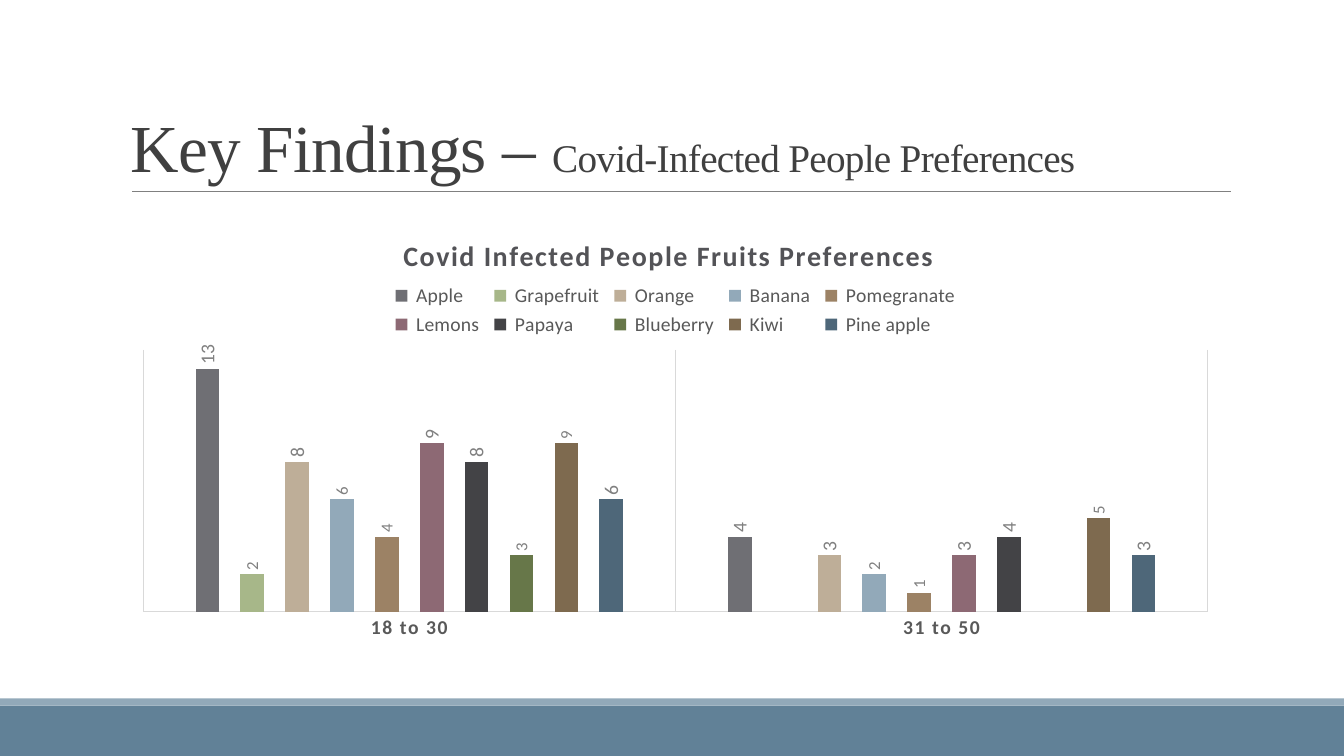
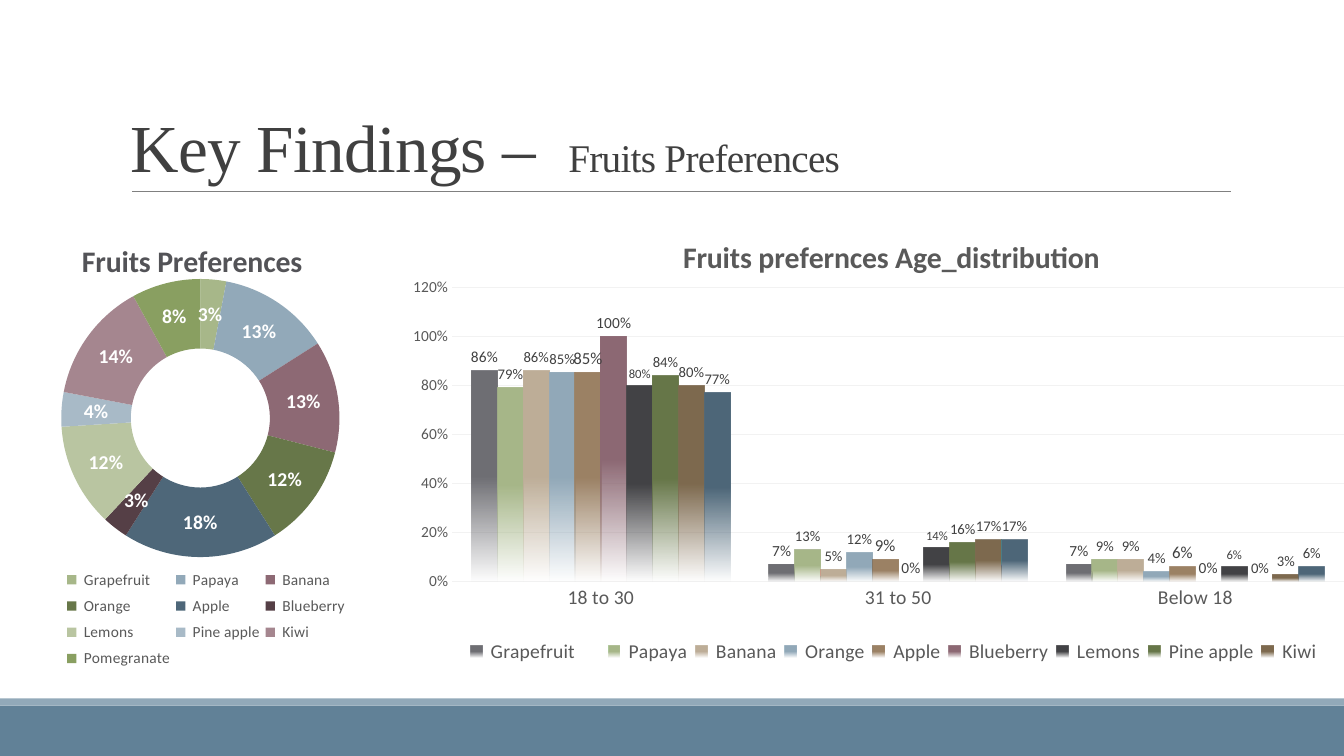
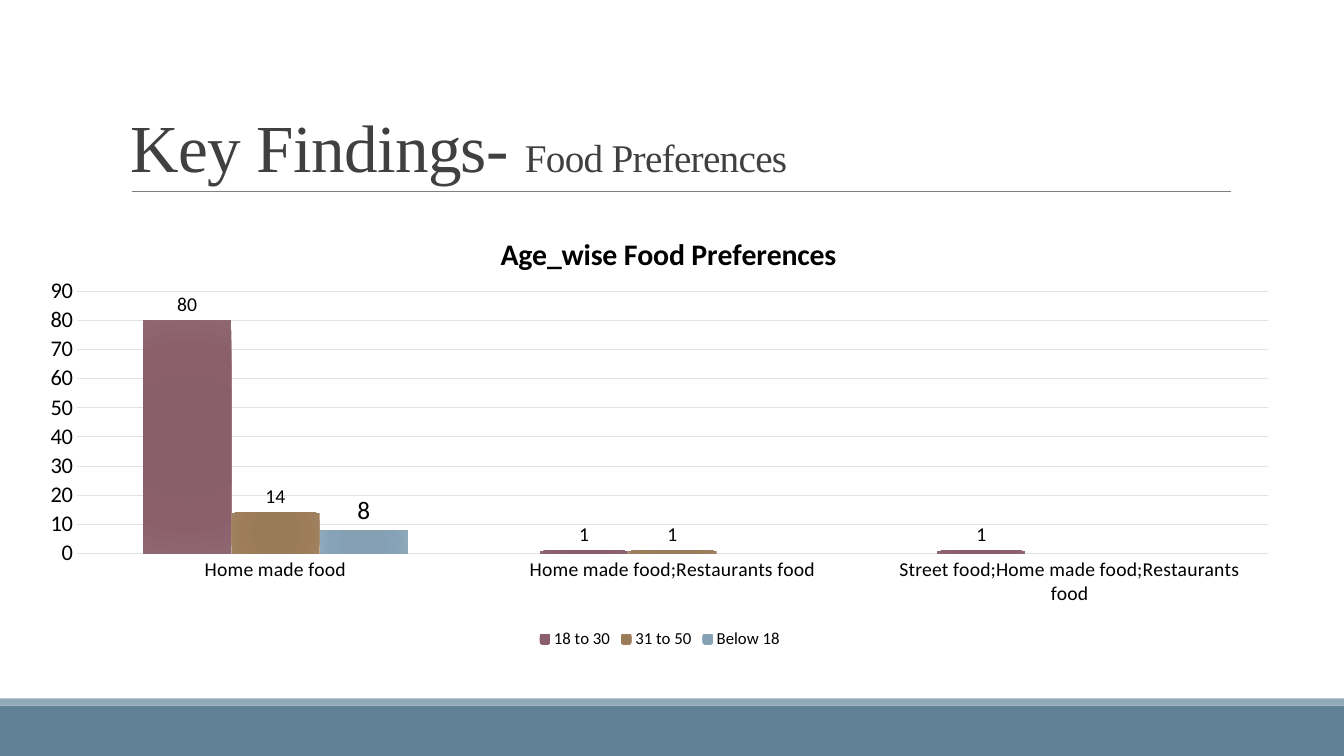
"""Build three survey slides on fruit and food preferences."""
from dataclasses import dataclass
from typing import Optional

from lxml import etree
from pptx import Presentation
from pptx.chart.data import CategoryChartData
from pptx.dml.color import RGBColor
from pptx.enum.chart import XL_CHART_TYPE, XL_LABEL_POSITION, XL_LEGEND_POSITION, XL_TICK_MARK
from pptx.enum.shapes import MSO_CONNECTOR, MSO_SHAPE
from pptx.enum.text import MSO_ANCHOR
from pptx.oxml.ns import qn
from pptx.util import Inches, Pt

COLUMNS, DOUGHNUT = XL_CHART_TYPE.COLUMN_CLUSTERED, XL_CHART_TYPE.DOUGHNUT
OUTSIDE = XL_LABEL_POSITION.OUTSIDE_END
TOP, RIGHT, BOTTOM = XL_LEGEND_POSITION.TOP, XL_LEGEND_POSITION.RIGHT, XL_LEGEND_POSITION.BOTTOM
NO_TICK = XL_TICK_MARK.NONE
BOTTOM_ANCHOR = MSO_ANCHOR.BOTTOM
STRAIGHT, RECT = MSO_CONNECTOR.STRAIGHT, MSO_SHAPE.RECTANGLE

TITLE_FONT, CHART_FONT = "Times New Roman", "Calibri"
BAND = RGBColor(0x61, 0x81, 0x97)
STRIPE = RGBColor(0x92, 0xA9, 0xB9)
RULE = RGBColor(0x80, 0x80, 0x80)
HEADING = RGBColor(0x40, 0x40, 0x40)
CHART_HEADING = RGBColor(0x53, 0x53, 0x57)
MUTED = RGBColor(0x59, 0x59, 0x59)
BLACK = RGBColor(0, 0, 0)
WHITE = RGBColor(0xFF, 0xFF, 0xFF)
GRID = RGBColor(0xD9, 0xD9, 0xD9)
GRID_FAINT = RGBColor(0xF2, 0xF2, 0xF2)
GRID_SOFT = RGBColor(0xE3, 0xE3, 0xE4)


def palette(codes: str) -> list[RGBColor]:
    """Turn space-separated colour codes into colours."""
    return [RGBColor.from_string(code) for code in codes.split()]


FRUIT_COLORS = palette("6F6F74 A7B789 BEAE98 92A9B9 9C8265 8D6974 434346 677749 7E6A4F 4E6779")
RING_COLORS = palette("A7B789 92A9B9 8D6974 677749 4E6779 553F46 B9C5A1 A8BAC7 A5868F 899F61")
RADIAL_POSITIONS = (0, 34, 70, 100)


@dataclass
class Stop:
    """One gradient stop, in percent."""
    pos: int
    color: RGBColor
    alpha: int = 100


@dataclass
class Series:
    """One column series with its label size and fill."""
    name: str
    values: tuple
    size: float
    color: Optional[RGBColor] = None
    stops: tuple = ()
    radial: bool = False


@dataclass
class Text:
    """Size, colour and weight of chart text."""
    size: float
    color: RGBColor
    bold: bool = False
    spacing: int = 0


@dataclass
class ChartFrame:
    """Box, heading and legend of a chart; layouts are fractions of it."""
    box: tuple
    title: str
    title_text: Text
    title_at: tuple
    plot: tuple
    legend: XL_LEGEND_POSITION
    legend_text: Text
    legend_at: Optional[tuple] = None


@dataclass
class Columns:
    """Axes and labels of a column chart."""
    categories: tuple
    series: list[Series]
    top: float
    unit: float
    cat_text: Text
    grid: RGBColor
    label_color: RGBColor
    val_text: Optional[Text] = None
    cat_line: Optional[RGBColor] = None
    gap: int = 150
    overlap: int = 0
    fmt: str = "General"
    upright: bool = False


def set_font(font, text: Text) -> None:
    """Apply a text style to chart text."""
    font.name, font.size, font.bold = CHART_FONT, Pt(text.size), text.bold
    font.color.rgb = text.color
    if text.spacing:
        font._rPr.set("spc", str(text.spacing))


def place(parent, after: Optional[str], at: tuple) -> None:
    """Give a chart part a manual layout."""
    for old in parent.findall(qn("c:layout")):
        parent.remove(old)
    layout = etree.Element(qn("c:layout"))
    manual = etree.SubElement(layout, qn("c:manualLayout"))
    if after is None:
        etree.SubElement(manual, qn("c:layoutTarget")).set("val", "inner")
        parent.insert(0, layout)
    else:
        parent.find(qn(after)).addnext(layout)
    for key in ("xMode", "yMode"):
        etree.SubElement(manual, qn(f"c:{key}")).set("val", "edge")
    for key, value in zip("xywh", at):
        etree.SubElement(manual, qn(f"c:{key}")).set("val", str(value))


def set_gradient(ser, stops: tuple, radial: bool) -> None:
    """Replace a series' solid fill by a gradient."""
    grad = etree.Element(qn("a:gradFill"))
    stop_list = etree.SubElement(grad, qn("a:gsLst"))
    for stop in stops:
        gs = etree.SubElement(stop_list, qn("a:gs"), pos=str(stop.pos * 1000))
        color = etree.SubElement(gs, qn("a:srgbClr"), val=str(stop.color))
        if stop.alpha < 100:
            etree.SubElement(color, qn("a:alpha"), val=str(stop.alpha * 1000))
    if radial:
        shade = etree.SubElement(grad, qn("a:path"))
        shade.set("path", "circle")
        etree.SubElement(shade, qn("a:fillToRect"), dict.fromkeys("ltrb", "100000"))
    else:
        etree.SubElement(grad, qn("a:lin"), ang="5400000", scaled="0")
    solid = ser._element.find(qn("c:spPr")).find(qn("a:solidFill"))
    solid.getparent().replace(solid, grad)


def set_line(line, color: Optional[RGBColor]) -> None:
    """Colour a hairline, or hide it."""
    if color is None:
        line.fill.background()
    else:
        line.color.rgb, line.width = color, Pt(0.75)


def add_framed_chart(s, kind, data, frame: ChartFrame):
    """Add a chart with its heading, plot layout and legend."""
    chart = s.shapes.add_chart(kind, *map(Inches, frame.box), data).chart
    chart.font.name, chart.font.size = CHART_FONT, Pt(10)
    chart.has_title = True
    p = chart.chart_title.text_frame.paragraphs[0]
    p.text = frame.title
    set_font(p.runs[0].font, frame.title_text)
    place(chart.chart_title._element, "c:tx", frame.title_at)
    place(chart._chartSpace.chart.plotArea, None, frame.plot)
    chart.has_legend = True
    chart.legend.position, chart.legend.include_in_layout = frame.legend, False
    set_font(chart.legend.font, frame.legend_text)
    if frame.legend_at:
        place(chart.legend._element, "c:legendPos", frame.legend_at)
    return chart


def add_columns(s, frame: ChartFrame, cols: Columns) -> None:
    """Add a clustered column chart."""
    data = CategoryChartData(number_format=cols.fmt)
    data.categories = cols.categories
    for item in cols.series:
        data.add_series(item.name, item.values)
    chart = add_framed_chart(s, COLUMNS, data, frame)
    plot = chart.plots[0]
    plot.gap_width, plot.overlap, plot.vary_by_categories = cols.gap, cols.overlap, False

    cat, val = chart.category_axis, chart.value_axis
    cat.major_tick_mark = val.major_tick_mark = NO_TICK
    set_font(cat.tick_labels.font, cols.cat_text)
    set_line(cat.format.line, cols.cat_line)
    val.minimum_scale, val.maximum_scale, val.major_unit = 0, cols.top, cols.unit
    val.visible = val.has_major_gridlines = cols.val_text is not None
    cat.has_major_gridlines = cols.val_text is None
    grid_axis = cat
    if cols.val_text:
        grid_axis = val
        set_font(val.tick_labels.font, cols.val_text)
        val.tick_labels.number_format = cols.fmt
        val.tick_labels.number_format_is_linked = False
        set_line(val.format.line, None)
    set_line(grid_axis.major_gridlines.format.line, cols.grid)

    for ser, item in zip(plot.series, cols.series):
        ser.format.fill.solid()
        ser.format.fill.fore_color.rgb = item.color or item.stops[0].color
        if item.stops:
            set_gradient(ser, item.stops, item.radial)
        labels = ser.data_labels
        labels.show_value, labels.position = True, OUTSIDE
        labels.number_format, labels.number_format_is_linked = cols.fmt, False
        set_font(labels.font, Text(item.size, cols.label_color))
        if cols.upright:
            body = labels._element.find(qn("c:txPr")).find(qn("a:bodyPr"))
            body.set("rot", "-5400000")
            body.set("vert", "horz")


def add_ring(s, frame: ChartFrame, shares: dict, colors: list[RGBColor]) -> None:
    """Add a doughnut chart with percentage labels."""
    data = CategoryChartData()
    data.categories = list(shares)
    data.add_series("Series 1", list(shares.values()))
    ser = add_framed_chart(s, DOUGHNUT, data, frame).plots[0].series[0]
    for i, color in enumerate(colors):
        fill = ser.points[i].format.fill
        fill.solid()
        fill.fore_color.rgb = color
    labels = ser.data_labels
    labels.show_percentage, labels.show_value = True, False
    set_font(labels.font, Text(14, WHITE, True))


def add_page(prs, lead: str, topic: str):
    """Add a slide with the footer bands, title rule and two-size title."""
    s = prs.slides.add_slide(prs.slide_layouts[6])
    for top, height, color in ((7, 0.5, BAND), (6.93, 0.07, STRIPE)):
        sp = s.shapes.add_shape(RECT, 0, Inches(top), prs.slide_width, Inches(height))
        sp.shadow.inherit = False
        sp.fill.solid()
        sp.fill.fore_color.rgb = color
        sp.line.fill.background()
    rule = s.shapes.add_connector(STRAIGHT, *map(Inches, (1.31, 1.9, 12.21, 1.9)))
    rule.line.color.rgb, rule.line.width = RULE, Pt(0.5)
    etree.SubElement(rule._element.spPr, qn("a:effectLst"))
    tf = s.shapes.add_textbox(*map(Inches, (1.2, 0.31, 11, 1.59))).text_frame
    tf.word_wrap, tf.vertical_anchor = True, BOTTOM_ANCHOR
    p = tf.paragraphs[0]
    p.line_spacing = 0.85
    for text, size in ((lead, 48), (topic, 28)):
        r = p.add_run()
        r.text = text
        r.font.name, r.font.size, r.font.color.rgb = TITLE_FONT, Pt(size), HEADING
        r.font._rPr.set("spc", "-50")
    return s


def add_infected_slide(prs) -> None:
    """Fruit choices of infected people by age."""
    s = add_page(prs, "Key Findings – ", "Covid-Infected People Preferences")
    rows = (
        (" Apple", (13, 4), 14), (" Grapefruit", (2, None), 12), (" Orange", (8, 3), 14),
        (" Banana", (6, 2), 12), (" Pomegranate", (4, 1), 12), (" Lemons", (9, 3), 14),
        (" Papaya", (8, 4), 14), (" Blueberry", (3, None), 12), (" Kiwi", (9, 5), 12),
        (" Pine apple", (6, 3), 14),
    )
    frame = ChartFrame(
        (1.2, 2.02, 11, 4.4), "Covid Infected People Fruits Preferences",
        Text(20, CHART_HEADING, True, 100), (0.25, 0.06), (0.02, 0.33, 0.96, 0.59),
        TOP, Text(14, MUTED), (0.24, 0.17, 0.52, 0.14))
    add_columns(s, frame, Columns(
        ("18 to 30", "31 to 50"),
        [Series(*row, color) for row, color in zip(rows, FRUIT_COLORS)],
        14, 2, Text(14, MUTED, True, 100), GRID, RULE, cat_line=GRID,
        gap=444, overlap=-90, upright=True))


def add_fruit_slide(prs) -> None:
    """Fruit shares overall and by age."""
    s = add_page(prs, "Key Findings –  ", "Fruits Preferences")
    shares = {
        " Grapefruit": 3, " Papaya": 13, " Banana": 13, " Orange": 12, " Apple": 18,
        " Blueberry": 3, " Lemons": 12, " Pine apple": 4, " Kiwi": 14, " Pomegranate": 8,
    }
    ring = ChartFrame(
        (0.23, 2.06, 3.78, 4.64), "Fruits Preferences", Text(21.3, CHART_HEADING, True),
        (0.14, 0.06), (0.1, 0.14, 0.73, 0.62), TOP, Text(11, MUTED), (0.1, 0.76, 0.76, 0.24))
    add_ring(s, ring, shares, RING_COLORS)

    by_age = (
        ((0.86, 0.07, 0.07), 11), ((0.79, 0.13, 0.09), 10.5), ((0.86, 0.05, 0.09), 10.5),
        ((0.85, 0.12, 0.04), 10.5), ((0.85, 0.09, 0.06), 12), ((1, 0, 0), 11),
        ((0.8, 0.14, 0.06), 9), ((0.84, 0.16, 0), 10.5), ((0.8, 0.17, 0.03), 10.5),
        ((0.77, 0.17, 0.06), 10.5),
    )
    series = [Series(name, values, size, stops=(Stop(50, color), Stop(100, color, 0)))
              for name, (values, size), color in zip(shares, by_age, FRUIT_COLORS)]
    frame = ChartFrame(
        (4, 2.06, 9.72, 4.64), "Fruits prefernces Age_distribution", Text(21.3, MUTED, True),
        (0.28, 0.05), (0.05, 0.17, 0.91, 0.63), RIGHT, Text(14, MUTED), (0.06, 0.91, 0.88, 0.08))
    add_columns(s, frame, Columns(
        ("18 to 30", "31 to 50", "Below 18"), series, 1.2, 0.2, Text(14, MUTED),
        GRID_FAINT, HEADING, Text(11, MUTED), fmt="0%"))


def add_food_slide(prs) -> None:
    """Food choices by age."""
    s = add_page(prs, "Key Findings- ", "Food Preferences")
    rows = (
        ("18 to 30", (80, 1, 1), 14, "885D6A 895F6C 8C5F6D 8F6773"),
        ("31 to 50", (14, 1, None), 14, "997A56 997B59 9D7D59 9F8262"),
        ("Below 18", (8, None, None), 18, "839EB2 85A0B3 86A2B6 90A9BB"),
    )
    series = [Series(name, values, size, radial=True,
                     stops=tuple(map(Stop, RADIAL_POSITIONS, palette(codes))))
              for name, values, size, codes in rows]
    frame = ChartFrame(
        (0.26, 1.99, 12.57, 4.49), "Age_wise Food Preferences", Text(21.3, BLACK, True),
        (0.37, 0.06), (0.04, 0.2, 0.94, 0.58), BOTTOM, Text(12, BLACK))
    add_columns(s, frame, Columns(
        ("Home made food", "Home made food;Restaurants food",
         "Street food;Home made food;Restaurants food"),
        series, 90, 10, Text(14, BLACK), GRID_SOFT, BLACK, Text(16, BLACK), GRID_SOFT))


def main() -> None:
    """Build and save the deck."""
    prs = Presentation()
    prs.slide_width, prs.slide_height = Inches(13.33), Inches(7.5)
    add_infected_slide(prs)
    add_fruit_slide(prs)
    add_food_slide(prs)
    prs.save("out.pptx")


main()
